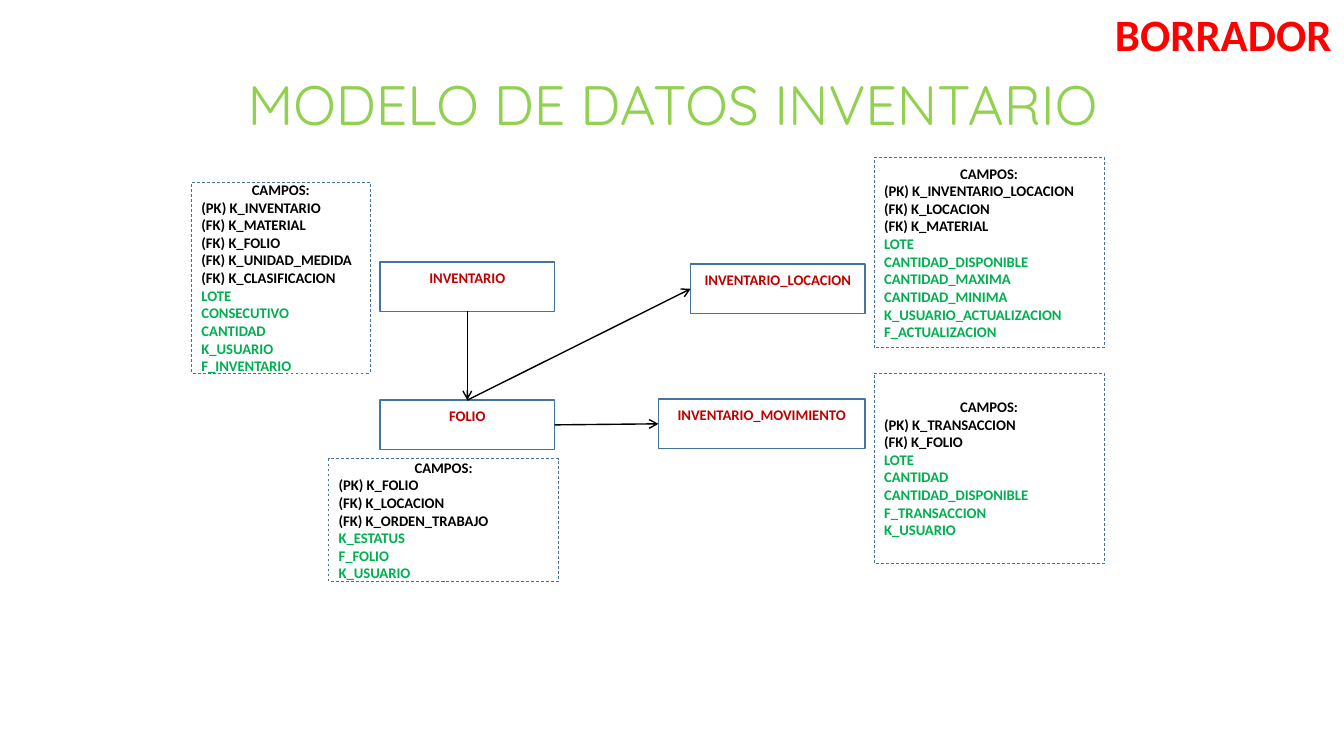
from lxml import etree
from pptx import Presentation
from pptx.dml.color import RGBColor
from pptx.enum.dml import MSO_LINE_DASH_STYLE as Dash
from pptx.enum.shapes import MSO_CONNECTOR as Connector, MSO_SHAPE as Shape
from pptx.enum.text import MSO_ANCHOR as Anchor, MSO_AUTO_SIZE as AutoSize, PP_ALIGN as Align
from pptx.oxml.ns import qn
from pptx.util import Inches, Pt

WHITE = RGBColor(0xFF, 0xFF, 0xFF)
BLACK = RGBColor(0, 0, 0)
BLUE = RGBColor(0x43, 0x73, 0x9E)
DARK_RED = RGBColor(0xC0, 0, 0)
RED = RGBColor(0xFF, 0, 0)
GREEN = RGBColor(0, 0xB0, 0x50)
LIME = RGBColor(0x92, 0xD0, 0x50)

TITLE = "MODELO DE DATOS INVENTARIO"
STATUS = "BORRADOR"
HEADING = "CAMPOS:"

# name: (left, top, width, height)
ENTITIES = {
    "INVENTARIO": (3.77, 2.6, 1.73, 0.49),
    "INVENTARIO_LOCACION": (6.85, 2.62, 1.73, 0.49),
    "FOLIO": (3.77, 3.97, 1.73, 0.49),
    "INVENTARIO_MOVIMIENTO": (6.53, 3.96, 2.05, 0.49),
}
# (area, key fields, other fields)
FIELD_LISTS = [
    ((1.9, 1.81, 1.77, 1.89),
     ["(PK) K_INVENTARIO", "(FK) K_MATERIAL", "(FK) K_FOLIO",
      "(FK) K_UNIDAD_MEDIDA", "(FK) K_CLASIFICACION"],
     ["LOTE", "CONSECUTIVO", "CANTIDAD", "K_USUARIO", "F_INVENTARIO"]),
    ((8.67, 1.56, 2.28, 1.89),
     ["(PK) K_INVENTARIO_LOCACION", "(FK) K_LOCACION", "(FK) K_MATERIAL"],
     ["LOTE", "CANTIDAD_DISPONIBLE", "CANTIDAD_MAXIMA", "CANTIDAD_MINIMA",
      "K_USUARIO_ACTUALIZACION", "F_ACTUALIZACION"]),
    ((3.26, 4.55, 2.28, 1.22),
     ["(PK) K_FOLIO", "(FK) K_LOCACION", "(FK) K_ORDEN_TRABAJO"],
     ["K_ESTATUS", "F_FOLIO", "K_USUARIO"]),
    ((8.67, 3.7, 2.28, 1.89),
     ["(PK) K_TRANSACCION", "(FK) K_FOLIO"],
     ["LOTE", "CANTIDAD", "CANTIDAD_DISPONIBLE", "F_TRANSACCION", "K_USUARIO"]),
]
TOP, LEFT, BOTTOM, RIGHT = range(4)  # connection sites of a rectangle
RELATIONS = [
    ("INVENTARIO", BOTTOM, "FOLIO", TOP),
    ("FOLIO", TOP, "INVENTARIO_LOCACION", LEFT),
    ("FOLIO", RIGHT, "INVENTARIO_MOVIMIENTO", LEFT),
]


def write(para, text, size=10.5, color=BLACK, font="Calibri", bold=True, align=Align.LEFT):
    para.alignment = align
    span = para.add_run()
    span.text = text
    span.font.size = Pt(size)
    span.font.name = font
    span.font.bold = bold
    span.font.color.rgb = color


def add_box(slide, area, line_width, dash=None):
    box = slide.shapes.add_shape(Shape.RECTANGLE, *map(Inches, area))
    box.shadow.inherit = False
    box.fill.solid()
    box.fill.fore_color.rgb = WHITE
    box.line.color.rgb = BLUE
    box.line.width = Pt(line_width)
    if dash:
        box.line.dash_style = dash
    box.text_frame.word_wrap = True
    box.text_frame.vertical_anchor = Anchor.MIDDLE
    return box


def add_entity(slide, name, area):
    box = add_box(slide, area, 1)
    box.text_frame.margin_bottom = Inches(0.23)  # lifts the name above the middle
    write(box.text_frame.paragraphs[0], name, color=DARK_RED, align=Align.CENTER)
    return box


def add_field_list(slide, area, keys, others):
    frame = add_box(slide, area, 0.5, Dash.DASH).text_frame
    write(frame.paragraphs[0], HEADING, align=Align.CENTER)
    for fields, color in ((keys, BLACK), (others, GREEN)):
        for field in fields:
            write(frame.add_paragraph(), field, color=color)


def add_arrow(slide, source, source_site, target, target_site):
    arrow = slide.shapes.add_connector(Connector.STRAIGHT, 0, 0, 0, 0)
    arrow.begin_connect(source, source_site)
    arrow.end_connect(target, target_site)
    arrow.line.color.rgb = BLACK
    arrow.line.width = Pt(1)
    etree.SubElement(arrow.line._get_or_add_ln(), qn("a:tailEnd"), type="arrow")
    etree.SubElement(arrow._element.spPr, qn("a:effectLst"))


def add_title(slide):
    frame = slide.shapes.add_textbox(*map(Inches, (0.92, 0.4, 11.5, 1.06))).text_frame
    frame.word_wrap = True
    frame.vertical_anchor = Anchor.MIDDLE
    frame.margin_top = Inches(0.33)
    frame.paragraphs[0].line_spacing = 0.9
    write(frame.paragraphs[0], TITLE, size=39.6, color=LIME, font="Quicksand",
          bold=False, align=Align.CENTER)


def add_status(slide):
    frame = slide.shapes.add_textbox(*map(Inches, (10.96, 0.02, 2.37, 0.64))).text_frame
    frame.word_wrap = False
    frame.auto_size = AutoSize.SHAPE_TO_FIT_TEXT
    write(frame.paragraphs[0], STATUS, size=32, color=RED)


def main():
    deck = Presentation()
    deck.slide_width, deck.slide_height = Inches(13.33), Inches(7.5)
    slide = deck.slides.add_slide(deck.slide_layouts[6])
    add_title(slide)
    add_status(slide)
    boxes = {name: add_entity(slide, name, area) for name, area in ENTITIES.items()}
    for area, keys, others in FIELD_LISTS:
        add_field_list(slide, area, keys, others)
    for source, source_site, target, target_site in RELATIONS:
        add_arrow(slide, boxes[source], source_site, boxes[target], target_site)
    deck.save("out.pptx")


if __name__ == "__main__":
    main()
